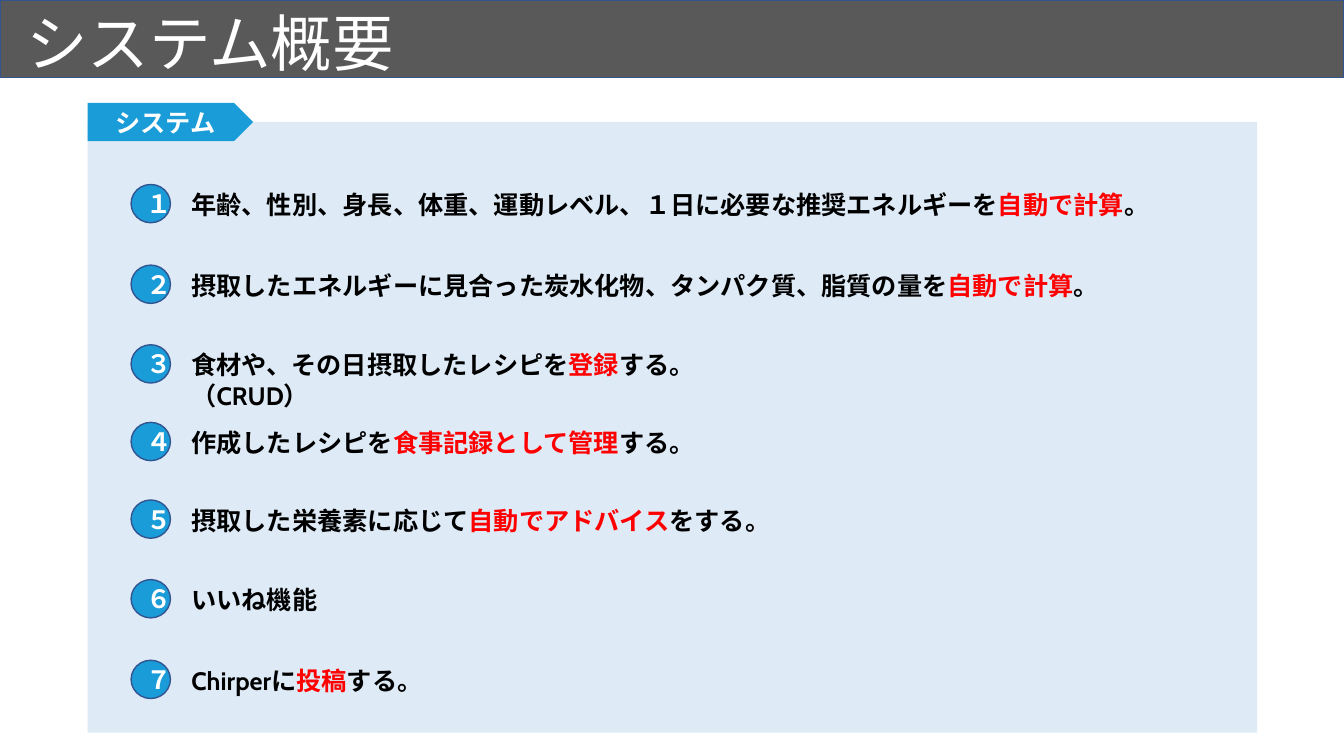
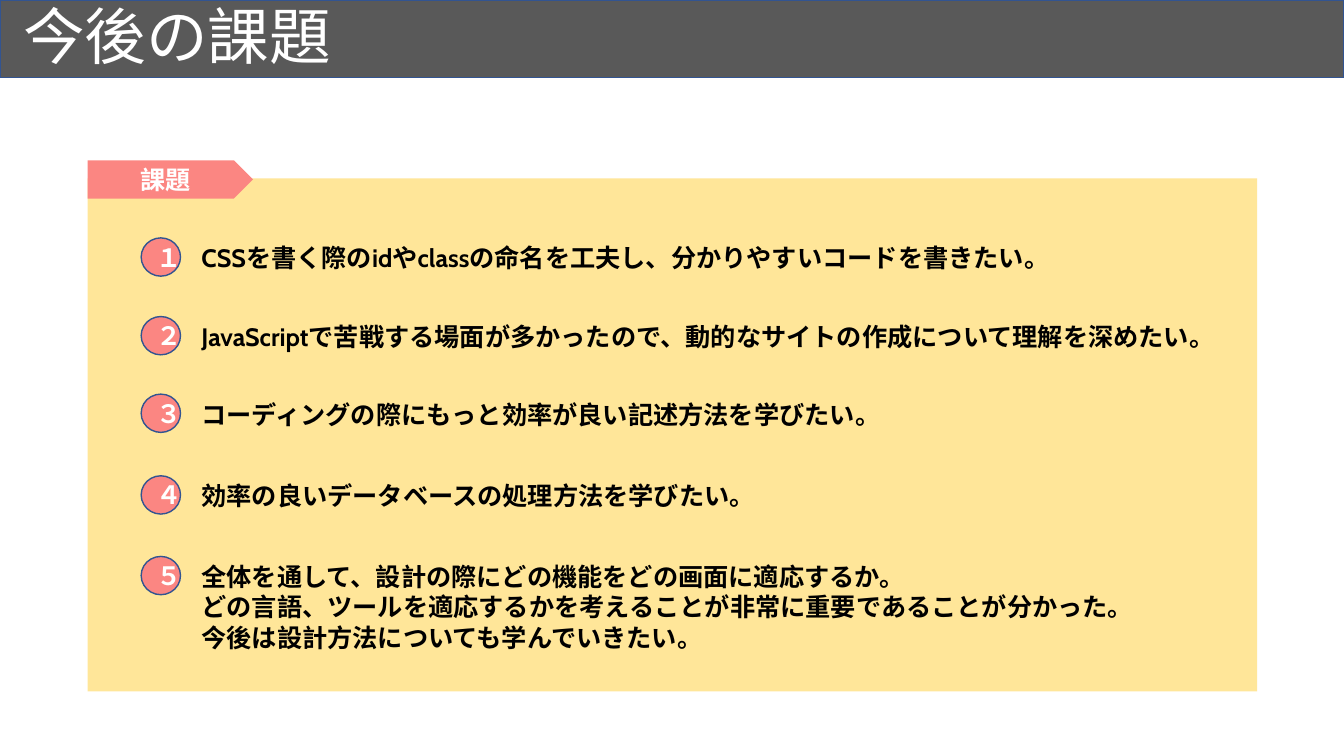
"""Build two slides that list the system features and the future challenges."""
from dataclasses import dataclass

from pptx import Presentation
from pptx.dml.color import RGBColor
from pptx.enum.shapes import MSO_SHAPE as Geometry
from pptx.enum.text import MSO_ANCHOR as Anchor, PP_ALIGN as Align
from pptx.shapes.autoshape import Shape
from pptx.shapes.shapetree import GroupShapes
from pptx.slide import Slide
from pptx.text.text import TextFrame
from pptx.util import Inches, Pt

COLORS = {
    "band": "595959",
    "outline": "325491",
    "white": "FFFFFF",
    "text": "000000",
    "highlight": "FF0000",
    "system": "199CD8",
    "system_panel": "DEEBF7",
    "challenge": "FB8682",
    "challenge_panel": "FFE699",
}
FONT = "Cabin"
SLIDE_WIDTH, SLIDE_HEIGHT = 13.33, 7.5
BAND_HEIGHT = 0.77
PANEL_LEFT, PANEL_WIDTH = 0.87, 11.6
TAB_WIDTH, TAB_HEIGHT = 1.64, 0.38
BADGE_WIDTH, BADGE_HEIGHT = 0.39, 0.38
TEXT_OFFSET, TEXT_WIDTH, LINE_HEIGHT = 0.5, 10.5, 0.3
DIGITS = "１２３４５６７"

Line = tuple[str, ...]


@dataclass(frozen=True)
class Item:
    """A numbered item; every second piece of a line is highlighted."""

    top: float
    lines: tuple[Line, ...]


@dataclass(frozen=True)
class Page:
    """One slide with a title, a tabbed panel and numbered items."""

    title: str
    title_left: float
    title_top: float
    label: str
    theme: str
    tab_top: float
    panel_top: float
    panel_height: float
    item_left: float
    items: tuple[Item, ...]


PAGES = (
    Page("システム概要", 0.16, 0.08, "システム", "system", 1.02, 1.21, 6.06, 1.3, (
        Item(1.83, (("年齢、性別、身長、体重、運動レベル、１日に必要な推奨エネルギーを", "自動で計算", "。"),)),
        Item(2.63, (("摂取したエネルギーに見合った炭水化物、タンパク質、脂質の量を", "自動で計算", "。"),)),
        Item(3.42, (("食材や、その日摂取したレシピを", "登録", "する。"), ("（CRUD）",))),
        Item(4.19, (("作成したレシピを", "食事記録として管理", "する。"),)),
        Item(4.96, (("摂取した栄養素に応じて", "自動でアドバイス", "をする。"),)),
        Item(5.75, (("いいね機能",),)),
        Item(6.55, (("Chirperに", "投稿", "する。"),)),
    )),
    Page("今後の課題", 0.13, 0.01, "課題", "challenge", 1.59, 1.77, 5.09, 1.4, (
        Item(2.36, (("CSSを書く際のidやclassの命名を工夫し、分かりやすいコードを書きたい。",),)),
        Item(3.14, (("JavaScriptで苦戦する場面が多かったので、動的なサイトの作成について理解を深めたい。",),)),
        Item(3.91, (("コーディングの際にもっと効率が良い記述方法を学びたい。",),)),
        Item(4.72, (("効率の良いデータベースの処理方法を学びたい。",),)),
        Item(5.52, (
            ("全体を通して、設計の際にどの機能をどの画面に適応するか。",),
            ("どの言語、ツールを適応するかを考えることが非常に重要であることが分かった。",),
            ("今後は設計方法についても学んでいきたい。",),
        )),
    )),
)


def rgb(name: str) -> RGBColor:
    """Return the named colour."""
    return RGBColor.from_string(COLORS[name])


def style_font(font, color: str, size: float = 18, bold: bool = True) -> None:
    """Apply the shared typeface with a size, weight and colour."""
    font.name, font.size, font.bold = FONT, Pt(size), bold
    font.color.rgb = rgb(color)


def add_box(shapes: GroupShapes, geometry: Geometry, left: float, top: float,
            width: float, height: float, fill: str, outlined: bool = False) -> Shape:
    """Add a flat preset shape."""
    shape = shapes.add_shape(geometry, Inches(left), Inches(top), Inches(width), Inches(height))
    shape.shadow.inherit = False
    shape.fill.solid()
    shape.fill.fore_color.rgb = rgb(fill)
    if outlined:
        shape.line.color.rgb = rgb("outline")
        shape.line.width = Pt(1)
    else:
        shape.line.fill.background()
    return shape


def add_label(shape: Shape, text: str) -> None:
    """Write a centred white label in a shape."""
    shape.text_frame.text = text
    shape.text_frame.vertical_anchor = Anchor.MIDDLE
    paragraph = shape.text_frame.paragraphs[0]
    paragraph.alignment = Align.CENTER
    style_font(paragraph.runs[0].font, "white")


def add_text_frame(shapes: GroupShapes, left: float, top: float,
                   width: float, height: float) -> TextFrame:
    """Add a wrapping text box and return its frame."""
    box = shapes.add_textbox(Inches(left), Inches(top), Inches(width), Inches(height))
    box.text_frame.word_wrap = True
    return box.text_frame


def add_title(slide: Slide, page: Page) -> None:
    """Draw the title band and its text."""
    add_box(slide.shapes, Geometry.RECTANGLE, 0, 0, SLIDE_WIDTH, BAND_HEIGHT, "band", True)
    frame = add_text_frame(slide.shapes, page.title_left, page.title_top, 13.01, BAND_HEIGHT)
    frame.text = page.title
    frame.vertical_anchor = Anchor.MIDDLE
    paragraph = frame.paragraphs[0]
    paragraph.line_spacing = 0.9
    style_font(paragraph.runs[0].font, "white", 44, False)


def add_panel(slide: Slide, page: Page) -> None:
    """Draw the panel and its tab as a group."""
    shapes = slide.shapes.add_group_shape().shapes
    add_box(shapes, Geometry.RECTANGLE, PANEL_LEFT, page.panel_top,
            PANEL_WIDTH, page.panel_height, f"{page.theme}_panel")
    tab = add_box(shapes, Geometry.PENTAGON, PANEL_LEFT, page.tab_top,
                  TAB_WIDTH, TAB_HEIGHT, page.theme)
    add_label(tab, page.label)


def add_item(slide: Slide, page: Page, item: Item, digit: str) -> None:
    """Draw a numbered badge and its text as a group."""
    shapes = slide.shapes.add_group_shape().shapes
    frame = add_text_frame(shapes, page.item_left + TEXT_OFFSET, item.top,
                           TEXT_WIDTH, 0.1 + LINE_HEIGHT * len(item.lines))
    frame.text = "\n".join("" for _ in item.lines)
    for paragraph, pieces in zip(frame.paragraphs, item.lines):
        for index, piece in enumerate(pieces):
            run = paragraph.add_run()
            run.text = piece
            style_font(run.font, "highlight" if index % 2 else "text")
    badge = add_box(shapes, Geometry.OVAL, page.item_left, item.top,
                    BADGE_WIDTH, BADGE_HEIGHT, page.theme, True)
    add_label(badge, digit)


def main() -> None:
    """Build and save the presentation."""
    presentation = Presentation()
    presentation.slide_width = Inches(SLIDE_WIDTH)
    presentation.slide_height = Inches(SLIDE_HEIGHT)
    for page in PAGES:
        slide = presentation.slides.add_slide(presentation.slide_layouts[6])
        add_title(slide, page)
        add_panel(slide, page)
        for item, digit in zip(page.items, DIGITS):
            add_item(slide, page, item, digit)
    presentation.save("out.pptx")


if __name__ == "__main__":
    main()
